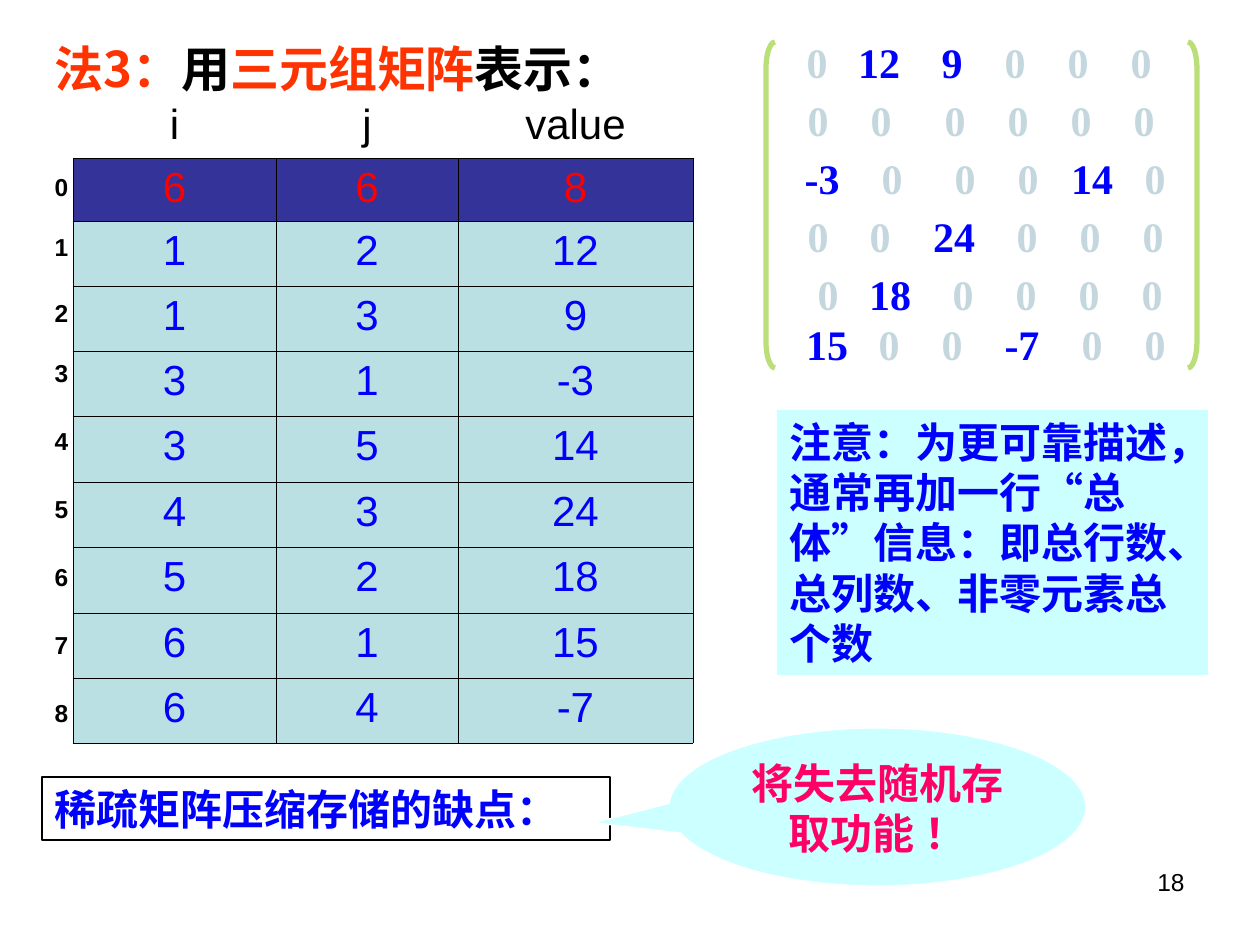
from lxml import etree
from pptx import Presentation
from pptx import util as u
from pptx.dml.color import RGBColor
from pptx.enum import shapes, text
from pptx.oxml.ns import qn

PX = 914400 // 126
HEX = {"blue": "0000FF", "red": "FF0000", "orange": "FF3300", "pink": "FF0066",
       "black": "000000", "white": "FFFFFF", "gray": "C4D7DE", "green": "BADE78",
       "cyan": "CCFFFF", "teal": "BBE0E3", "navy": "333399"}
RGB = {name: RGBColor.from_string(code) for name, code in HEX.items()}
SANS, ROMAN, CJK = "Arial", "Times New Roman", "Noto Sans CJK SC"
LEFT, MID, RIGHT = text.PP_ALIGN.LEFT, text.PP_ALIGN.CENTER, text.PP_ALIGN.RIGHT
NO_STYLE = "{2D5ABB26-0587-4C30-8999-92F81FD0307C}"


def write(frame, runs, size, bold=False, align=LEFT, anchor=text.MSO_ANCHOR.TOP):
    """Fill a frame with one paragraph of (words, font, colour) runs."""
    look = {"word_wrap": True, "auto_size": text.MSO_AUTO_SIZE.NONE,
            "vertical_anchor": anchor}
    for key, val in look.items():
        setattr(frame, key, val)
    para = frame.paragraphs[0]
    para.alignment = align
    for words, face, hue in runs:
        run = para.add_run()
        run.text = words
        for key, val in {"size": u.Pt(size), "bold": bold, "name": face}.items():
            setattr(run.font, key, val)
        run.font.color.rgb = RGB[hue]
        east = etree.SubElement(run.font._element, qn("a:ea"))
        east.set("typeface", CJK)


def grid(left, top, cols, rows, cells, hue, size=24, bold=False, align=MID,
         fill=None, edge=0):
    """Add a table; edge is the border width in points, 0 for none."""
    box = [n * PX for n in (left, top, sum(cols), sum(rows))]
    table = slide.shapes.add_table(len(rows), len(cols), *box).table
    table.first_row = table.horz_banding = False
    table._tbl.tblPr.find(qn("a:tableStyleId")).text = NO_STYLE
    for col, width in zip(table.columns, cols):
        col.width = width * PX
    for row, high, line in zip(table.rows, rows, cells):
        row.height = high * PX
        for cell, val in zip(row.cells, line):
            write(cell.text_frame, [(str(val), SANS, hue)], size, bold, align)
            for side in ("lnL", "lnR", "lnT", "lnB") if edge else ():
                line_el = etree.SubElement(cell._tc.get_or_add_tcPr(), qn(f"a:{side}"),
                                           w=str(u.Pt(edge)))
                paint = etree.SubElement(line_el, qn("a:solidFill"))
                etree.SubElement(paint, qn("a:srgbClr"), val=HEX["black"])
            if fill:
                cell.fill.solid()
                cell.fill.fore_color.rgb = RGB[fill]
            else:
                cell.fill.background()


deck = Presentation()
deck.slide_width, deck.slide_height = 1260 * PX, 945 * PX
slide = deck.slides.add_slide(deck.slide_layouts[5])

# Title
title = slide.shapes.title
spot = {"left": 42, "top": 32, "width": 557, "height": 131}
for key, val in spot.items():
    setattr(title, key, val * PX)
write(title.text_frame, [("法3：", CJK, "orange"), ("用", CJK, "black"),
                         ("三元组矩阵", CJK, "orange"), ("表示：", CJK, "black")],
      28, True)

# Sparse matrix between brackets
for kind, left in ((shapes.MSO_SHAPE.LEFT_BRACKET, 766),
                   (shapes.MSO_SHAPE.RIGHT_BRACKET, 1188)):
    brace = slide.shapes.add_shape(kind, left * PX, 42 * PX, 9 * PX, 326 * PX)
    brace.adjustments[0] = 3
    brace.shadow.inherit = False
    brace.fill.background()
    brace.line.color.rgb = RGB["green"]
    brace.line.width = u.Pt(3)

# Each row: top, values, centre of each value
matrix = [
    (38, (0, 12, 9, 0, 0, 0), (817, 879, 952, 1015, 1078, 1141)),
    (96, (0, 0, 0, 0, 0, 0), (818, 881, 955, 1018, 1081, 1144)),
    (154, (-3, 0, 0, 0, 14, 0), (822, 892, 965, 1028, 1092, 1155)),
    (212, (0, 0, 24, 0, 0, 0), (818, 880, 954, 1027, 1090, 1153)),
    (270, (0, 18, 0, 0, 0, 0), (828, 890, 963, 1026, 1089, 1152)),
    (320, (15, 0, 0, -7, 0, 0), (827, 889, 952, 1022, 1092, 1155)),
]
for top, vals, stops in matrix:
    frame = slide.shapes.add_textbox(780 * PX, top * PX, 400 * PX, 48 * PX).text_frame
    for side in ("left", "right", "top", "bottom"):
        setattr(frame, f"margin_{side}", 0)
    tabs = etree.SubElement(frame.paragraphs[0]._p.get_or_add_pPr(), qn("a:tabLst"))
    for stop in stops:
        etree.SubElement(tabs, qn("a:tab"), pos=str((stop - 780) * PX), algn="ctr")
    write(frame, [(f"\t{val}", ROMAN, "blue" if val else "gray") for val in vals],
          24, True, anchor=text.MSO_ANCHOR.MIDDLE)

# Triples, with their totals row, heading and row numbers
cols = (203, 182, 235)
triples = [(r, c, val) for r, (_, vals, _) in enumerate(matrix, 1)
           for c, val in enumerate(vals, 1) if val]
grid(73, 221, cols, (65, 65, 65, 66, 65, 66, 65, 65), triples, "blue",
     fill="teal", edge=0.45)
grid(73, 158, cols, (63,), [(6, 6, len(triples))], "red", fill="navy", edge=0.11)
grid(73, 95, cols, (63,), [("i", "j", "value")], "black")
grid(42, 168, (42,), (60, 66, 60, 68, 68, 68, 68, 68, 60), [(n,) for n in range(9)],
     "black", size=14, bold=True, align=LEFT)

# Notes
note = slide.shapes.add_textbox(777 * PX, 410 * PX, 431 * PX, 265 * PX)
note.fill.solid()
note.fill.fore_color.rgb = RGB["cyan"]
write(note.text_frame, [("注意：为更可靠描述，通常再加一行", CJK, "blue"),
                        ("“", ROMAN, "blue"), ("总体", CJK, "blue"),
                        ("”", ROMAN, "blue"),
                        ("信息：即总行数、总列数、非零元素总个数", CJK, "blue")],
      24, True)

flaw = slide.shapes.add_textbox(42 * PX, 777 * PX, 568 * PX, 63 * PX)
flaw.line.color.rgb = RGB["black"]
flaw.line.width = u.Pt(0.75)
write(flaw.text_frame, [("稀疏矩阵压缩存储的缺点：", ROMAN, "blue")], 24, True)

call = slide.shapes.add_shape(shapes.MSO_SHAPE.OVAL_CALLOUT,
                              669 * PX, 728 * PX, 417 * PX, 158 * PX)
call.adjustments[0], call.adjustments[1] = -0.68, 0.1
call.shadow.inherit = False
call.fill.solid()
call.fill.fore_color.rgb = RGB["cyan"]
call.line.color.rgb = RGB["white"]
call.line.width = u.Pt(0.75)
write(call.text_frame, [("将失去随机存取功能 ！", ROMAN, "pink")], 24, True, MID)

page = slide.shapes.add_textbox(903 * PX, 861 * PX, 294 * PX, 66 * PX)
write(page.text_frame, [("18", SANS, "black")], 14, align=RIGHT)

deck.save("out.pptx")
